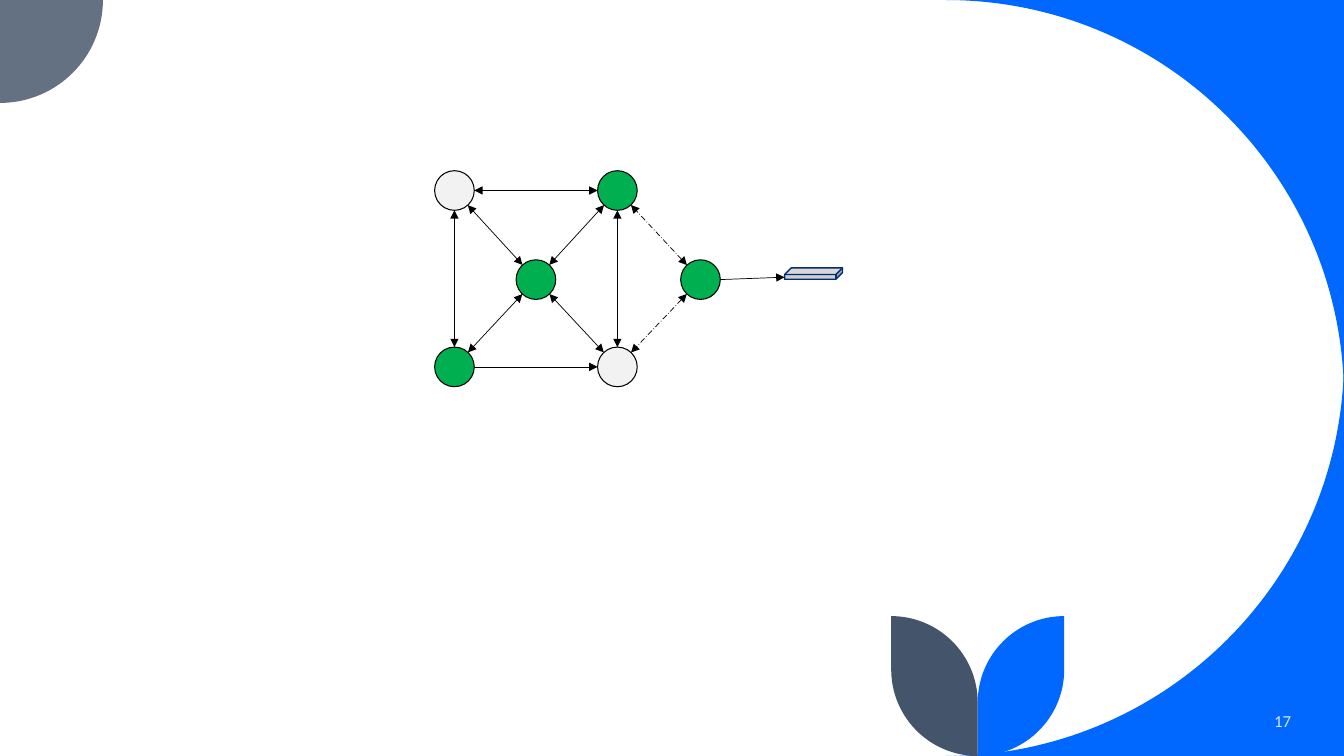
from dataclasses import dataclass
from math import cos, hypot, radians, sin

from lxml.etree import SubElement
from pptx import Presentation
from pptx.dml.color import RGBColor
from pptx.enum.dml import MSO_LINE_DASH_STYLE as Dash
from pptx.enum.shapes import MSO_CONNECTOR as Link, MSO_SHAPE as Shape
from pptx.enum.text import MSO_ANCHOR as Anchor, PP_ALIGN as Align
from pptx.oxml.ns import qn
from pptx.util import Inches, Pt

COLS, ROWS = 160, 90
BEZIER = 0.5523  # handle length of a quarter circle of radius 1


@dataclass(frozen=True)
class Theme:
    blue: str = "0068FF"
    slate: str = "44546A"
    corner: str = "637183"
    green: str = "00B050"
    pale: str = "F2F2F2"
    sink: str = "D0CECE"
    sink_edge: str = "002E70"
    black: str = "000000"
    number: str = "DAE5EF"
    font: str = "Calibri"
    number_size: float = 12
    hairline: float = 0.25
    link: float = 0.5


def rgb(code):
    return RGBColor.from_string(code)


def quarter(cx, cy, r, start, side=1):
    """Start point and Bezier points of a clockwise quarter circle; side -1 mirrors it."""
    c, s = cos(radians(start)), sin(radians(start))
    corners = (c, s), (c - BEZIER * s, s + BEZIER * c), (BEZIER * c - s, BEZIER * s + c), (-s, c)
    first, *curve = [(cx + side * r * x, cy + r * y) for x, y in corners]
    return [first], curve


def write_text(tf, text, *, font, size, color, align=Align.LEFT, anchor=Anchor.TOP):
    tf.word_wrap = True
    tf.vertical_anchor = anchor
    p = tf.paragraphs[0]
    p.alignment = align
    r = p.add_run()
    r.text = text
    r.font.name, r.font.size = font, Pt(size)
    r.font.color.rgb = rgb(color)


class Canvas:
    """Draws on one slide, with lengths in square grid cells."""

    def __init__(self, prs, theme):
        self.theme = theme
        self.cell = prs.slide_width / COLS
        self.s = prs.slides.add_slide(prs.slide_layouts[6])

    def emu(self, *lengths):
        return [round(v * self.cell) for v in lengths]

    def paint(self, sp, fill, edge=None, width=0):
        sp.shadow.inherit = False
        sp.fill.solid()
        sp.fill.fore_color.rgb = rgb(fill)
        if edge:
            sp.line.color.rgb = rgb(edge)
            sp.line.width = Pt(width)
        else:
            sp.line.fill.background()

    def outline(self, start, segments, fill):
        """Closed outline; a segment of one point is a line, of three a curve."""
        builder = self.s.shapes.build_freeform(*self.emu(*start))
        builder.add_line_segments([self.emu(*pt) for seg in segments for pt in seg])
        sp = builder.convert_to_shape()
        steps = iter(sp._element.findall(".//" + qn("a:lnTo")))
        for seg in segments:
            first, *rest = [next(steps) for _ in seg]
            if rest:
                curve = SubElement(first.getparent(), qn("a:cubicBezTo"))
                first.addprevious(curve)
                for step in (first, *rest):
                    curve.append(step[0])
                    step.getparent().remove(step)
        self.paint(sp, fill)

    def leaf(self, x, top, bottom, r, side, fill):
        outer = x + side * r
        self.outline((outer, top), [*quarter(x, bottom - r, r, 0, side),
                                    *quarter(outer, top + r, r, 180, side)], fill)

    def node(self, x, y, r, fill):
        box = self.emu(x - r, y - r, 2 * r, 2 * r)
        sp = self.s.shapes.add_shape(Shape.OVAL, *box)
        self.paint(sp, fill, self.theme.black)

    def cube(self, x, y, w, h, depth):
        sp = self.s.shapes.add_shape(Shape.CUBE, *self.emu(x, y, w, h))
        sp.adjustments[0] = depth
        self.paint(sp, self.theme.sink, self.theme.sink_edge, 1)

    def arrow(self, start, end, *, heads=("head", "tail"), dashed=False, width=None):
        c = self.s.shapes.add_connector(Link.STRAIGHT, *self.emu(*start, *end))
        c.line.color.rgb = rgb(self.theme.black)
        c.line.width = Pt(width or self.theme.link)
        if dashed:
            c.line.dash_style = Dash.LONG_DASH_DOT
        ln = c.line._get_or_add_ln()
        for head in heads:
            SubElement(ln, qn(f"a:{head}End")).set("type", "triangle")
        SubElement(c._element.spPr, qn("a:effectLst"))

    def link(self, a, b, r, **style):
        """Arrow between the rims of two circles centred on a and b."""
        (ax, ay), (bx, by) = a, b
        length = hypot(bx - ax, by - ay)
        dx, dy = r * (bx - ax) / length, r * (by - ay) / length
        self.arrow((ax + dx, ay + dy), (bx - dx, by - dy), **style)

    def page_number(self, text, x, y, w, h):
        tf = self.s.shapes.add_textbox(*self.emu(x, y, w, h)).text_frame
        write_text(tf, text, font=self.theme.font, size=self.theme.number_size,
                   color=self.theme.number, align=Align.RIGHT, anchor=Anchor.MIDDLE)


def draw_background(c):
    t = c.theme
    big, small = 47.4, 12.25
    left = COLS - big
    c.outline((COLS, 0), quarter(left, big, big, 270), t.blue)
    c.outline((COLS, ROWS), quarter(left, ROWS - big, big, 0), t.blue)
    c.outline((0, 0), quarter(0, 0, small, 0), t.corner)
    for side, fill in ((1, t.blue), (-1, t.slate)):
        c.leaf(116.4, 73.35, ROWS, 10.3, side, fill)


def draw_network(c):
    t = c.theme
    r = 2.36
    places = {"hub": (1, 1.01, t.green), "se": (2, 2, t.pale), "ne": (2, 0, t.green),
              "sw": (0, 2, t.green), "nw": (0, 0, t.pale), "gate": (3.02, 1.01, t.green)}
    at = {name: (54.1 + 9.7 * col, 22.68 + 10.5 * row)
          for name, (col, row, _) in places.items()}
    for name, (_, _, fill) in places.items():
        c.node(*at[name], r, fill)
    c.cube(93.4, 31.9, 6.9, 1.35, 0.58)

    for a, b in (("hub", "se"), ("hub", "nw"), ("hub", "ne"), ("ne", "se"),
                 ("ne", "nw"), ("sw", "nw"), ("hub", "sw")):
        c.link(at[a], at[b], r)
    c.link(at["sw"], at["se"], r, heads=["tail"], width=t.hairline)
    gate_x, gate_y = at["gate"]
    c.arrow((93.4, 33), (gate_x + r, gate_y), heads=["head"])
    for corner in ("ne", "se"):
        c.link(at["gate"], at[corner], r, dashed=True)


def main():
    prs = Presentation()
    prs.slide_width, prs.slide_height = Inches(40 / 3), Inches(7.5)
    c = Canvas(prs, Theme())
    draw_background(c)
    c.page_number("17", 133.2, 83.4, 21.7, 4.8)
    draw_network(c)
    prs.save("out.pptx")


if __name__ == "__main__":
    main()
